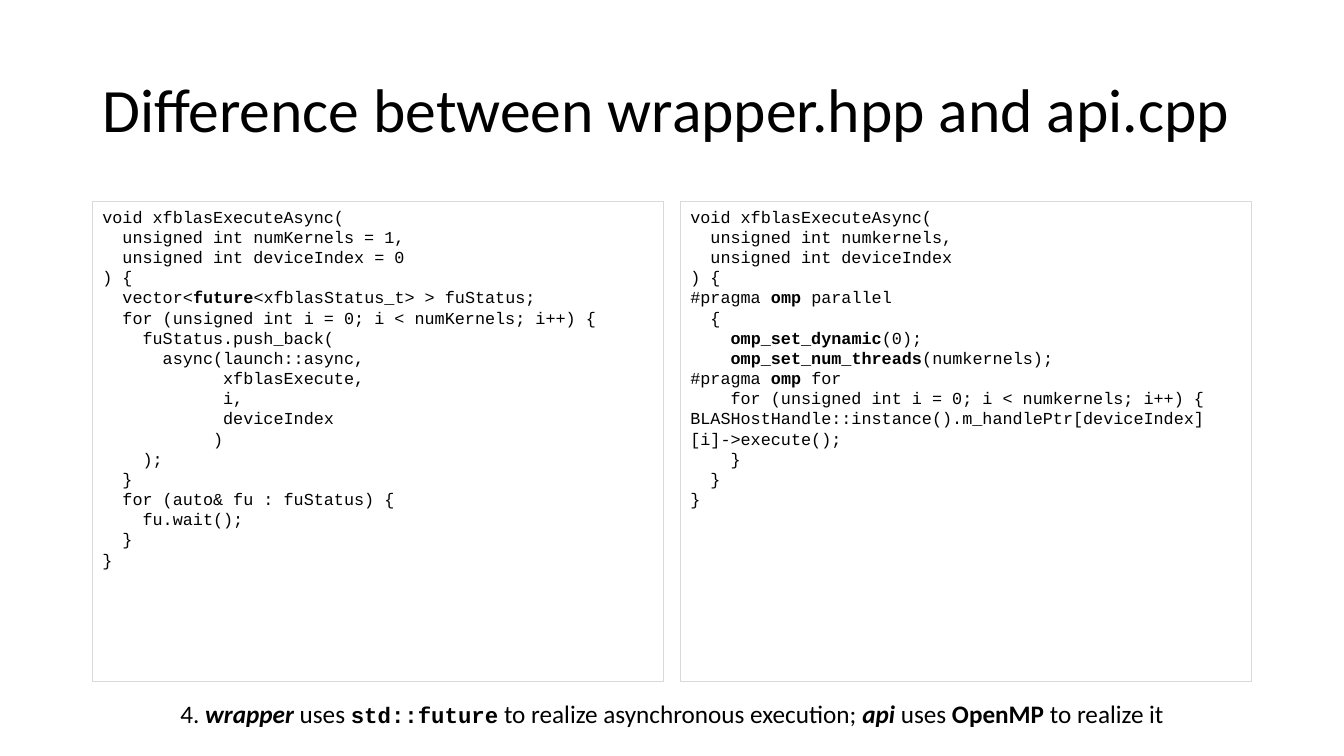
from pptx import Presentation
from pptx.dml.color import RGBColor
from pptx.enum.shapes import MSO_SHAPE
from pptx.enum.text import MSO_ANCHOR, PP_ALIGN
from pptx.util import Pt

EMU_PER_PX = 9525
BLACK = RGBColor(0x00, 0x00, 0x00)
BORDER_GRAY = RGBColor(0xD9, 0xD9, 0xD9)
BODY_FONT = "Calibri"
CODE_FONT = "Courier New"
RECTANGLE = MSO_SHAPE.RECTANGLE
TOP, MIDDLE = MSO_ANCHOR.TOP, MSO_ANCHOR.MIDDLE
LEFT, CENTER = PP_ALIGN.LEFT, PP_ALIGN.CENTER

MARGIN = 88
PANEL_TOP, PANEL_WIDTH, PANEL_HEIGHT, PANEL_GAP = 192, 544, 457, 16

# Double asterisks enclose the bold part of a code line.
WRAPPER_CODE = """\
void xfblasExecuteAsync(
  unsigned int numKernels = 1,
  unsigned int deviceIndex = 0
) {
  vector<**future**<xfblasStatus_t> > fuStatus;
  for (unsigned int i = 0; i < numKernels; i++) {
    fuStatus.push_back(
      async(launch::async,
            xfblasExecute,
            i,
            deviceIndex
           )
    );
  }
  for (auto& fu : fuStatus) {
    fu.wait();
  }
}"""

API_CODE = """\
void xfblasExecuteAsync(
  unsigned int numkernels,
  unsigned int deviceIndex
) {
#pragma **omp** parallel
  {
    **omp_set_dynamic**(0);
    **omp_set_num_threads**(numkernels);
#pragma **omp** for
    for (unsigned int i = 0; i < numkernels; i++) {
BLASHostHandle::instance().m_handlePtr[deviceIndex][i]->execute();
    }
  }
}"""


def px(length):
    return length * EMU_PER_PX


def add_run(paragraph, text, size, font=BODY_FONT, bold=False, italic=False):
    run = paragraph.add_run()
    run.text = text
    run.font.size = Pt(size)
    run.font.name = font
    run.font.bold = bold
    run.font.italic = italic
    run.font.color.rgb = BLACK


def add_text_box(slide, left, top, width, height, anchor, align):
    """Add a wrapping text box and return its frame."""
    box = slide.shapes.add_textbox(px(left), px(top), px(width), px(height))
    frame = box.text_frame
    frame.word_wrap = True
    frame.vertical_anchor = anchor
    frame.paragraphs[0].alignment = align
    return frame


def add_title(slide, text):
    frame = add_text_box(slide, MARGIN, 38, 1104, 139, MIDDLE, LEFT)
    heading = frame.paragraphs[0]
    heading.line_spacing = 0.9
    add_run(heading, text, 44)


def add_code_panel(slide, left, code):
    panel = slide.shapes.add_shape(RECTANGLE, px(left), px(PANEL_TOP),
                                   px(PANEL_WIDTH), px(PANEL_HEIGHT))
    panel.shadow.inherit = False
    panel.fill.background()
    panel.line.color.rgb = BORDER_GRAY
    panel.line.width = Pt(0.75)
    frame = panel.text_frame
    frame.word_wrap = True
    frame.vertical_anchor = TOP
    for index, code_line in enumerate(code.splitlines()):
        paragraph = frame.add_paragraph() if index else frame.paragraphs[0]
        paragraph.alignment = LEFT
        paragraph.line_spacing = Pt(14.4)
        for part, text in enumerate(code_line.split("**")):
            if text:
                add_run(paragraph, text, 12, CODE_FONT, bold=part % 2 == 1)


def add_conclusion(slide):
    frame = add_text_box(slide, 160, 655, 960, 48, TOP, CENTER)
    frame.margin_top = frame.margin_bottom = px(10)
    sentence = frame.paragraphs[0]
    add_run(sentence, "4. ", 18)
    add_run(sentence, "wrapper", 18, bold=True, italic=True)
    add_run(sentence, " uses ", 18)
    add_run(sentence, "std::future", 16, CODE_FONT, bold=True)
    add_run(sentence, " to realize asynchronous execution; ", 18)
    add_run(sentence, "api", 18, bold=True, italic=True)
    add_run(sentence, " uses ", 18)
    add_run(sentence, "OpenMP", 18, bold=True)
    add_run(sentence, " to realize it", 18)


def main():
    deck = Presentation()
    deck.slide_width, deck.slide_height = px(1280), px(720)
    slide = deck.slides.add_slide(deck.slide_layouts[6])
    add_title(slide, "Difference between wrapper.hpp and api.cpp")
    for column, code in enumerate((WRAPPER_CODE, API_CODE)):
        add_code_panel(slide, MARGIN + column * (PANEL_WIDTH + PANEL_GAP), code)
    add_conclusion(slide)
    deck.save("out.pptx")


if __name__ == "__main__":
    main()
